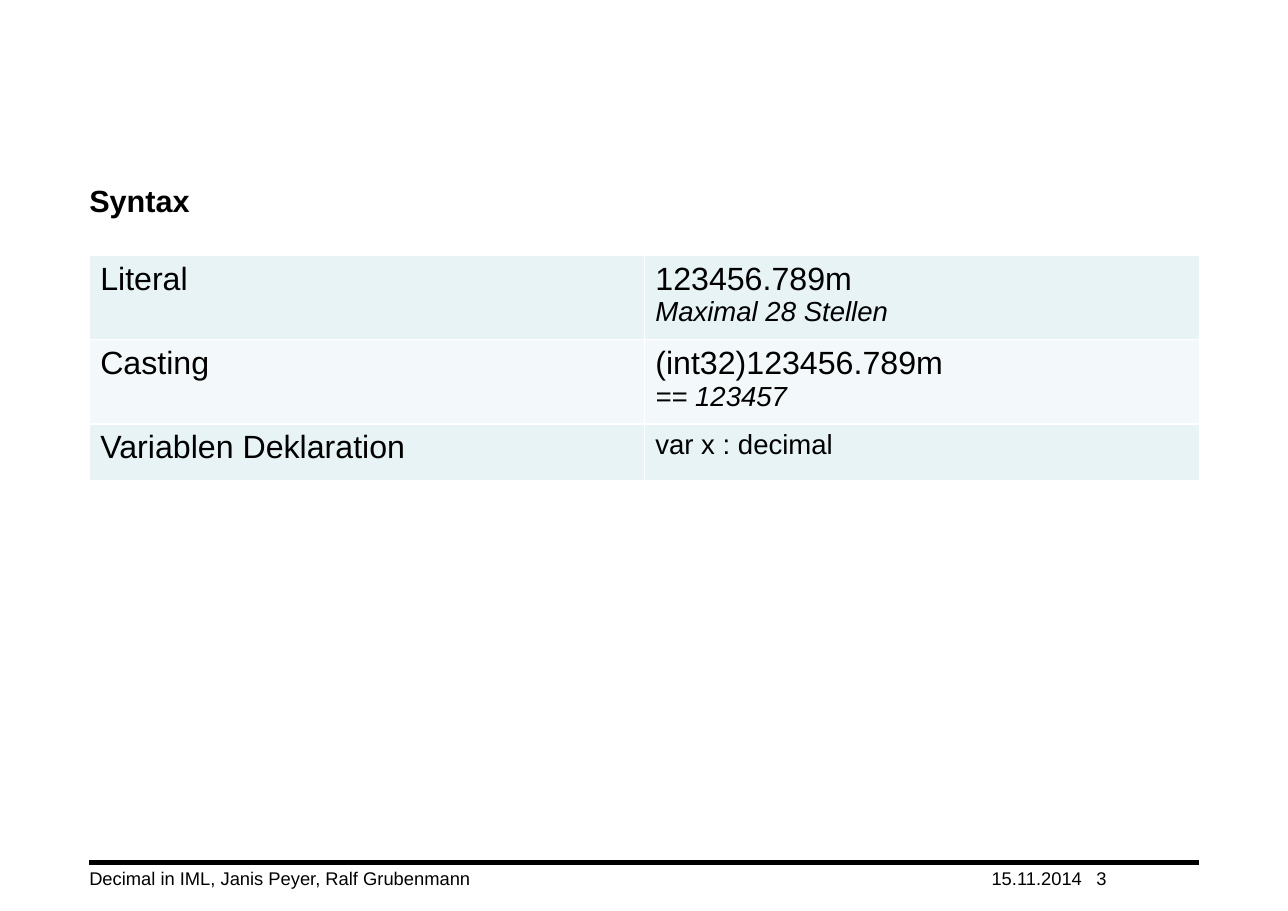
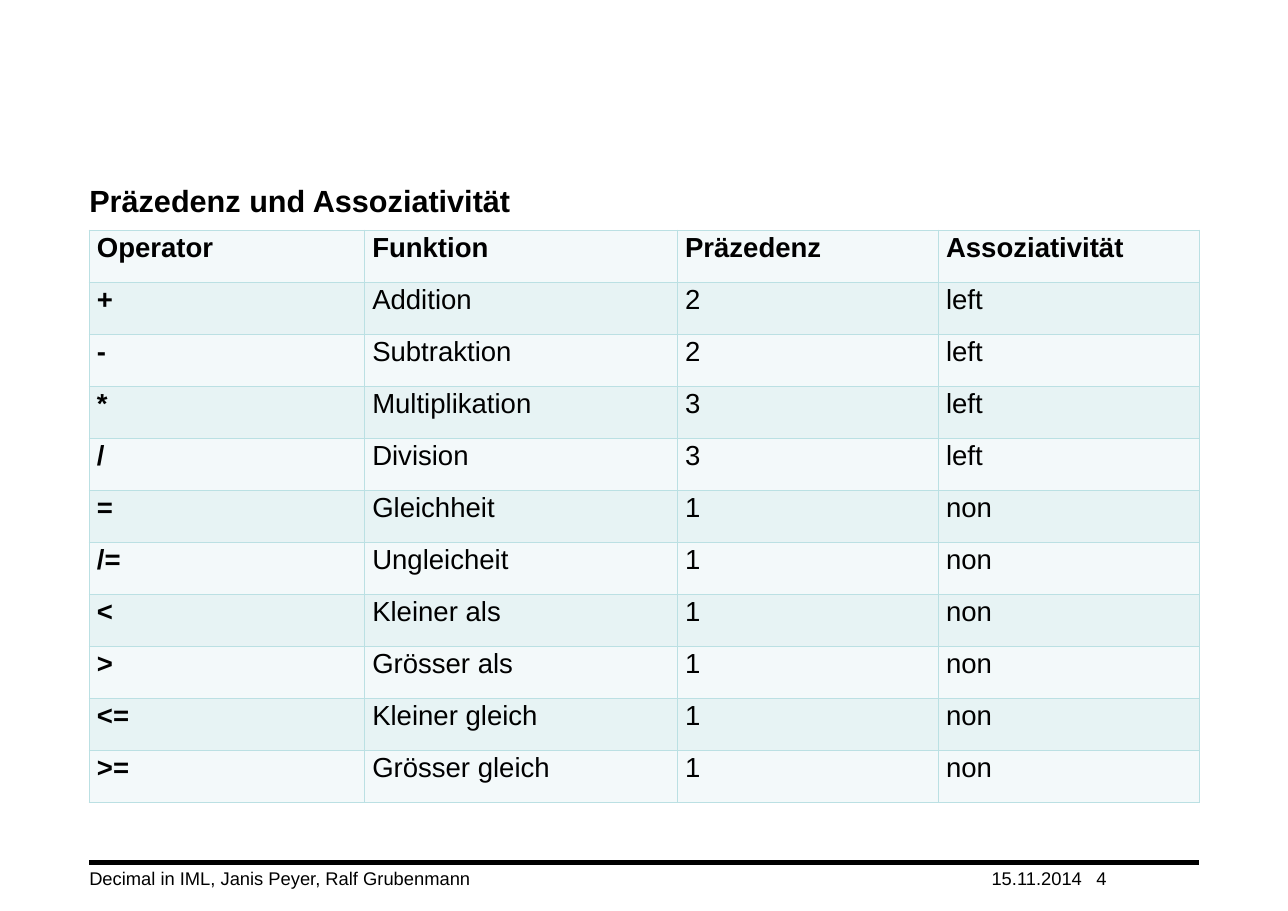
import dataclasses

import pptx
import pptx.dml.color
import pptx.enum.shapes
import pptx.enum.text
import pptx.oxml
import pptx.oxml.ns
import pptx.util


@dataclasses.dataclass(frozen=True)
class Theme:
    font: str = "Arial"
    ink: str = "000000"
    light_band: str = "F3F9FA"
    dark_band: str = "E7F3F4"
    white_border: str = "FFFFFF"
    teal_border: str = "BBE0E3"
    title_size: int = 20
    term_size: int = 21
    body_size: int = 18
    footer_size: int = 12
    rule_width: int = 3
    border_width: int = 1


THEME = Theme()
SLIDE_WIDTH = pptx.util.Inches(11.69)
SLIDE_HEIGHT = pptx.util.Inches(8.27)
LEFT = 6.93
CONTENT_WIDTH = 86.2
FOOTER_TOP = 95.16
FOOTER_HEIGHT = 2.42
FOOTER_WIDTHS = (70.06, 8.13, 8.01)
FOOTER_TEXT = "Decimal in IML, Janis Peyer, Ralf Grubenmann"
DATE = "15.11.2014"

SYNTAX = [
    ["Literal", "123456.789m", "Maximal 28 Stellen"],
    ["Casting", "(int32)123456.789m", "== 123457"],
]
DECLARATION = ["Variablen Deklaration", "var x : decimal"]
OPERATORS = [
    ("+", "Addition", "2", "left"),
    ("-", "Subtraktion", "2", "left"),
    ("*", "Multiplikation", "3", "left"),
    ("/", "Division", "3", "left"),
    ("=", "Gleichheit", "1", "non"),
    ("/=", "Ungleicheit", "1", "non"),
    ("<\u00a0", "Kleiner als", "1", "non"),
    (">\u00a0", "Grösser als", "1", "non"),
    ("<=", "Kleiner gleich", "1", "non"),
    (">=", "Grösser gleich", "1", "non"),
]


def across(percent):
    return round(SLIDE_WIDTH * percent / 100)


def down(percent):
    return round(SLIDE_HEIGHT * percent / 100)


def color(value):
    return pptx.dml.color.RGBColor.from_string(value)


def write(paragraph, text, size=THEME.body_size, bold=False, italic=False, spacing=None):
    paragraph.alignment = pptx.enum.text.PP_ALIGN.LEFT
    paragraph.line_spacing = spacing
    run = paragraph.add_run()
    run.text = text
    run.font.name = THEME.font
    run.font.size = pptx.util.Pt(size)
    run.font.bold = bold
    run.font.italic = italic
    run.font.color.rgb = color(THEME.ink)


def add_label(slide, text, left, top, width, height, anchor, **style):
    label = slide.shapes.add_textbox(across(left), down(top), across(width), down(height))
    frame = label.text_frame
    frame.word_wrap = True
    frame.vertical_anchor = anchor
    frame.margin_left = frame.margin_right = frame.margin_top = frame.margin_bottom = 0
    write(frame.paragraphs[0], text, **style)


def add_footer(slide, number):
    rule = slide.shapes.add_connector(
        pptx.enum.shapes.MSO_CONNECTOR.STRAIGHT,
        across(LEFT), down(94.68), across(LEFT + CONTENT_WIDTH), down(94.68))
    rule.line.color.rgb = color(THEME.ink)
    rule.line.width = pptx.util.Pt(THEME.rule_width)
    rule._element.spPr.append(pptx.oxml.parse_xml(
        f"<a:effectLst {pptx.oxml.ns.nsdecls('a')}/>"))
    left = LEFT
    for text, width in zip((FOOTER_TEXT, DATE, str(number)), FOOTER_WIDTHS):
        add_label(slide, text, left, FOOTER_TOP, width, FOOTER_HEIGHT,
                  pptx.enum.text.MSO_ANCHOR.BOTTOM, size=THEME.footer_size)
        left += width


def add_page(deck, title, number):
    slide = deck.slides.add_slide(deck.slide_layouts[6])
    add_footer(slide, number)
    add_label(slide, title, LEFT, 19.95, CONTENT_WIDTH, 4.84,
              pptx.enum.text.MSO_ANCHOR.TOP, size=THEME.title_size, bold=True)
    return slide


def set_borders(cell, border):
    properties = cell._tc.get_or_add_tcPr()
    for position, side in enumerate(("lnL", "lnR", "lnT", "lnB")):
        properties.insert(position, pptx.oxml.parse_xml(
            f"<a:{side} {pptx.oxml.ns.nsdecls('a')} w='{pptx.util.Pt(THEME.border_width)}'>"
            f"<a:solidFill><a:srgbClr val='{border}'/></a:solidFill></a:{side}>"))


def fill_cell(cell, lines, band, border, insets):
    cell.fill.solid()
    cell.fill.fore_color.rgb = color(band)
    set_borders(cell, border)
    side, edge = insets
    cell.margin_left = cell.margin_right = pptx.util.Inches(side)
    cell.margin_top = cell.margin_bottom = pptx.util.Inches(edge)
    frame = cell.text_frame
    for index, (text, style) in enumerate(lines):
        paragraph = frame.add_paragraph() if index else frame.paragraphs[0]
        write(paragraph, text, **style)


def add_grid(slide, rows, top, shares, heights, bands, border, insets):
    table = slide.shapes.add_table(
        len(rows), len(shares), across(LEFT), down(top),
        across(CONTENT_WIDTH), down(sum(heights))).table
    table.first_row = table.horz_banding = False
    for column, share in zip(table.columns, shares):
        column.width = across(CONTENT_WIDTH * share / sum(shares))
    for index, (row, height) in enumerate(zip(rows, heights)):
        table.rows[index].height = down(height)
        for column, lines in enumerate(row):
            fill_cell(table.cell(index, column), lines, bands[index % 2], border, insets)


def add_syntax(deck):
    slide = add_page(deck, "Syntax", 3)
    term = dict(size=THEME.term_size)
    rows = [[[(name, term)], [(example, term), (remark, dict(italic=True))]]
            for name, example, remark in SYNTAX]
    name, example = DECLARATION
    rows.append([[(name, term)], [(example, {})]])
    add_grid(slide, rows, 28.05, (1, 1), (9.25, 9.25, 6.25),
             (THEME.dark_band, THEME.light_band), THEME.white_border, (0.1, 0.05))


def add_precedence(deck):
    slide = add_page(deck, "Präzedenz und Assoziativität", 4)
    header = ("Operator", "Funktion", "Präzedenz", "Assoziativität")
    rows = [[[(text, dict(bold=row is header or column == 0, spacing=1.07))]
             for column, text in enumerate(row)]
            for row in [header, *OPERATORS]]
    add_grid(slide, rows, 25.27, (2.5, 2.84, 2.37, 2.37), [5.71] * len(rows),
             (THEME.light_band, THEME.dark_band), THEME.teal_border, (0.07, 0))


def main():
    deck = pptx.Presentation()
    deck.slide_width = SLIDE_WIDTH
    deck.slide_height = SLIDE_HEIGHT
    add_syntax(deck)
    add_precedence(deck)
    deck.save("out.pptx")


main()
